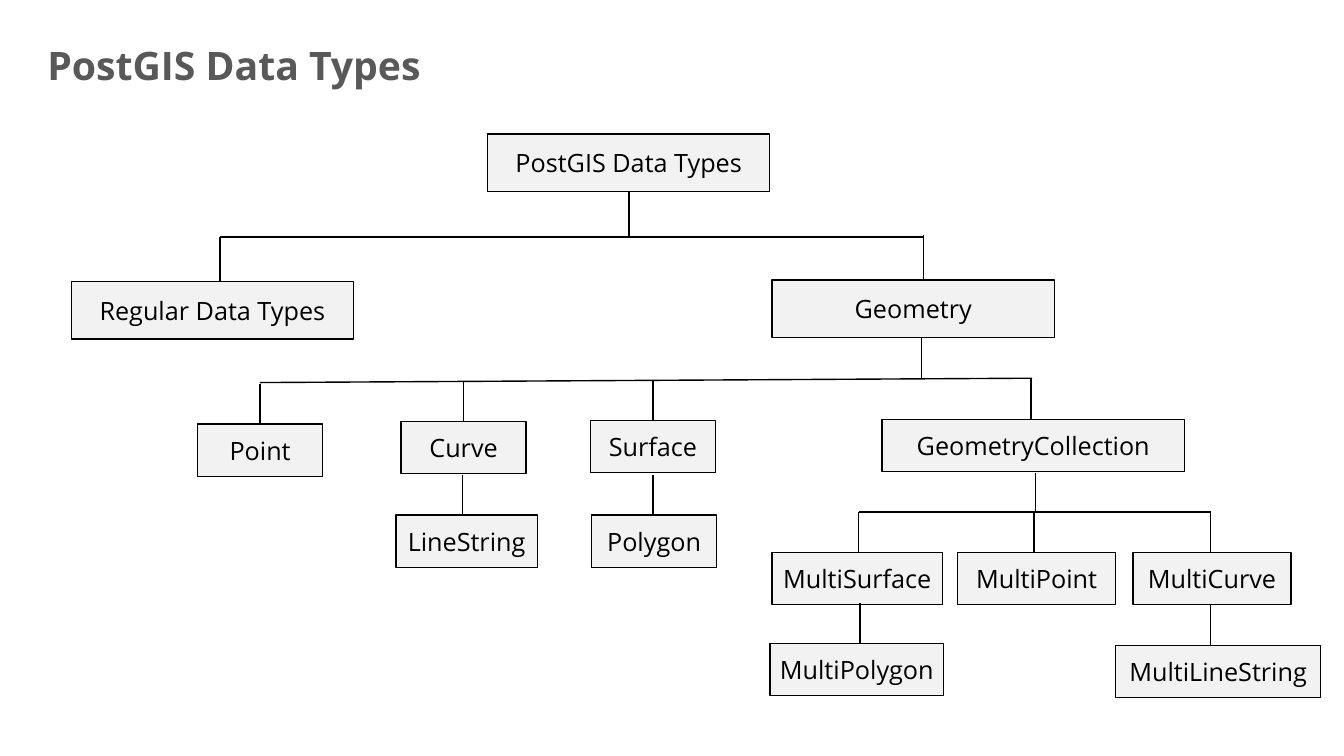
from pptx import Presentation
from pptx.dml.color import RGBColor
from pptx.enum.shapes import MSO_CONNECTOR, MSO_SHAPE
from pptx.enum.text import MSO_ANCHOR, MSO_AUTO_SIZE, PP_ALIGN
from pptx.oxml.ns import qn
from pptx.util import Cm, Pt
from lxml import etree

STRAIGHT = MSO_CONNECTOR.STRAIGHT
RECTANGLE = MSO_SHAPE.RECTANGLE
MIDDLE = MSO_ANCHOR.MIDDLE
LEFT, CENTER = PP_ALIGN.LEFT, PP_ALIGN.CENTER
NO_AUTOFIT = MSO_AUTO_SIZE.NONE
TITLE_ONLY = 5

COLORS = {"title": "595959", "box": "F2F2F2", "line": "000000", "text": "000000"}

# Box rows: height, stem length, then (text, left, top, width, stem x)
TYPE_ROWS = [
    (1.45, 1.13, [
        ("Regular Data Types", 1.8, 7.09, 7.11, 5.54),
        ("Geometry", 19.46, 7.06, 7.11, 23.27),
    ]),
    (1.32, 1.02, [
        ("Point", 4.98, 10.69, 3.15, 6.55),
        ("Curve", 10.11, 10.62, 3.15, 11.68),
        ("Surface", 14.88, 10.59, 3.15, 16.46),
        ("GeometryCollection", 22.23, 10.57, 7.62, 25.98),
    ]),
    (1.32, 1.02, [
        ("LineString", 9.98, 12.98, 3.56, 11.66),
        ("Polygon", 14.91, 12.98, 3.15, 16.46),
    ]),
    (1.32, 1.02, [
        ("MultiSurface", 19.46, 13.92, 4.29, 21.64),
        ("MultiPoint", 24.13, 13.92, 3.99, 26.06),
        ("MultiCurve", 28.55, 13.92, 3.99, 30.51),
    ]),
    (1.32, 1.02, [
        ("MultiPolygon", 19.41, 16.21, 4.37, 21.67),
        ("MultiLineString", 28.12, 16.26, 5.16, 30.51),
    ]),
]

# Branches: trunk x, trunk top, trunk bottom, then rail right x, y and left x, y
BRANCHES = [
    ((15.85, 4.83, 5.95), (23.27, 5.97, 5.54, 5.97)),
    ((23.22, 8.51, 9.53), (26.01, 9.53, 6.55, 9.64)),
    ((26.09, 11.91, 12.93), (30.51, 12.9, 21.64, 12.9)),
]


class TreeSlide:
    """Holds the slide and the style shared by its elements."""

    font_name = "Open Sans"
    title_size = Pt(28)
    box_size = Pt(18)
    line_width = Pt(1)

    def __init__(self, slide):
        self.slide = slide

    def color(self, name):
        return RGBColor.from_string(COLORS[name])

    def add_run(self, paragraph, text, size, color, bold=False):
        run = paragraph.add_run()
        run.text = text
        run.font.name = self.font_name
        run.font.size = size
        run.font.bold = bold
        run.font.color.rgb = self.color(color)

    def title(self, text, left, top, width, height):
        shape = self.slide.shapes.title
        shape.left, shape.top = Cm(left), Cm(top)
        shape.width, shape.height = Cm(width), Cm(height)
        frame = shape.text_frame
        frame.auto_size = NO_AUTOFIT
        frame.vertical_anchor = MIDDLE
        paragraph = frame.paragraphs[0]
        paragraph.alignment = LEFT
        paragraph.line_spacing = 0.9
        paragraph.space_after = Pt(6)
        self.add_run(paragraph, text, self.title_size, "title", bold=True)

    def box(self, text, left, top, width, height):
        shape = self.slide.shapes.add_shape(
            RECTANGLE, Cm(left), Cm(top), Cm(width), Cm(height))
        shape.shadow.inherit = False
        shape.fill.solid()
        shape.fill.fore_color.rgb = self.color("box")
        shape.line.color.rgb = self.color("line")
        shape.line.width = self.line_width
        frame = shape.text_frame
        frame.word_wrap = False
        frame.vertical_anchor = MIDDLE
        paragraph = frame.paragraphs[0]
        paragraph.alignment = CENTER
        self.add_run(paragraph, text, self.box_size, "text")

    def line(self, start_x, start_y, end_x, end_y):
        connector = self.slide.shapes.add_connector(
            STRAIGHT, Cm(start_x), Cm(start_y), Cm(end_x), Cm(end_y))
        connector.line.color.rgb = self.color("line")
        connector.line.width = self.line_width
        etree.SubElement(connector._element.spPr, qn("a:effectLst"))


def main():
    presentation = Presentation()
    presentation.slide_width = Cm(33.87)
    presentation.slide_height = Cm(19.05)
    layout = presentation.slide_layouts[TITLE_ONLY]
    tree = TreeSlide(presentation.slides.add_slide(layout))

    # Title and root of the tree
    tree.title("PostGIS Data Types", 0.94, 0.79, 27.2, 1.83)
    tree.box("PostGIS Data Types", 12.29, 3.38, 7.11, 1.45)

    # Trunks and the rails that spread them
    for (trunk_x, trunk_top, trunk_bottom), rail in BRANCHES:
        tree.line(trunk_x, trunk_top, trunk_x, trunk_bottom)
        tree.line(*rail)

    # Type boxes, each with the stem above it
    for height, stem_length, boxes in TYPE_ROWS:
        for text, left, top, width, stem_x in boxes:
            tree.line(stem_x, top - stem_length, stem_x, top)
            tree.box(text, left, top, width, height)

    presentation.save("out.pptx")


if __name__ == "__main__":
    main()
